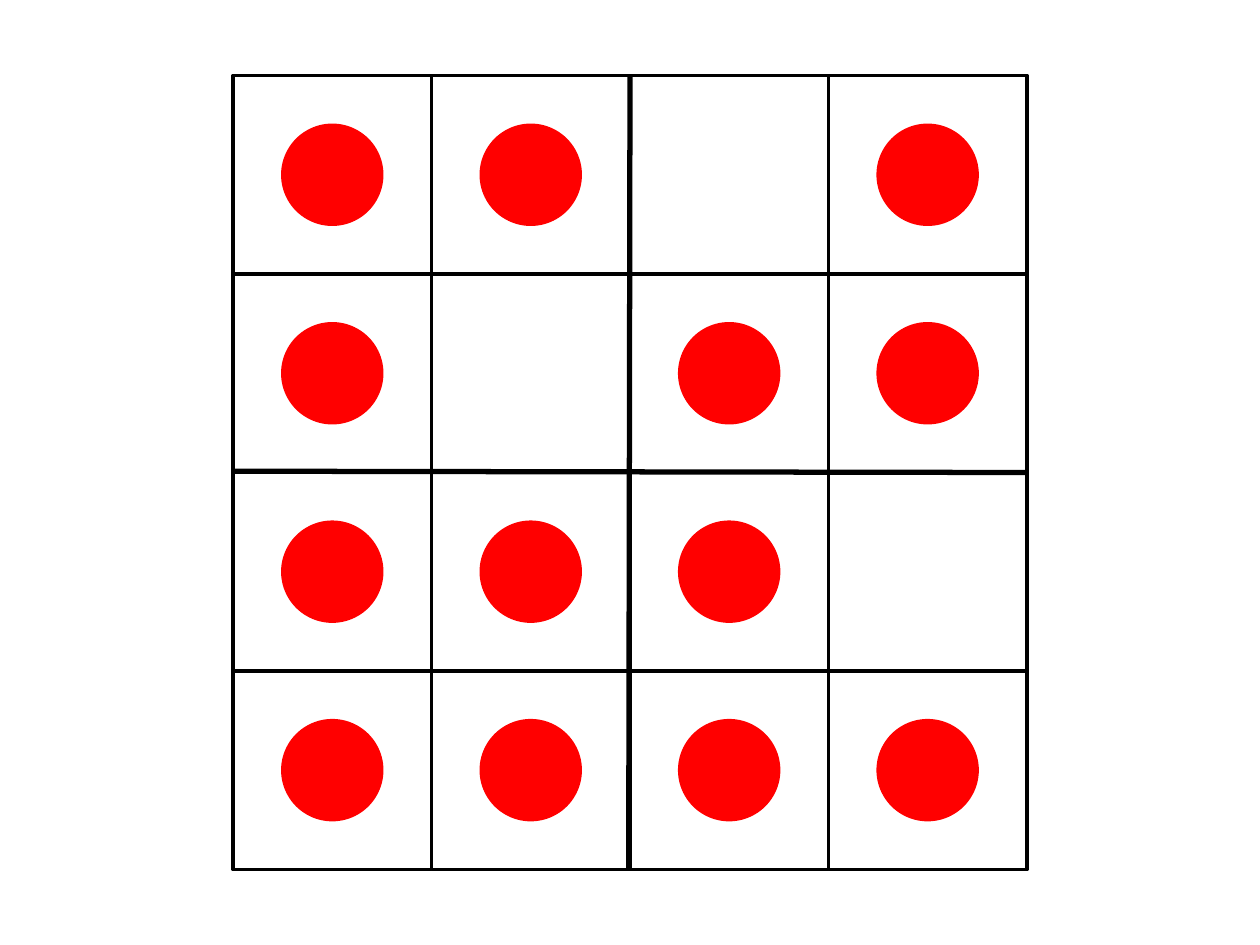
"""Build a four by four grid with red dots and heavy middle lines."""
from dataclasses import dataclass

from lxml.etree import SubElement
from pptx import Presentation
from pptx.dml.color import RGBColor
from pptx.enum.shapes import MSO_CONNECTOR as Connector, MSO_SHAPE as Shape
from pptx.oxml.ns import qn
from pptx.shapes.autoshape import Shape as AutoShape
from pptx.slide import Slide
from pptx.util import Emu, Pt

BLACK = RGBColor(0x00, 0x00, 0x00)
RED = RGBColor(0xFF, 0x00, 0x00)

EMU_PER_PX = 4572
SLIDE_WIDTH, SLIDE_HEIGHT = 2000, 1500
GRID_LEFT, GRID_TOP = 370, 120
CELL = 315
DOT = 157
DOT_INSET = (CELL - DOT) // 2
OUTLINE_WIDTH, DIVIDER_WIDTH = 2, 3

DOT_ROWS = (
    "●●○●",
    "●○●●",
    "●●●○",
    "●●●●",
)


@dataclass(frozen=True)
class Cell:
    row: int
    column: int
    has_dot: bool

    @property
    def left(self) -> int:
        return GRID_LEFT + self.column * CELL

    @property
    def top(self) -> int:
        return GRID_TOP + self.row * CELL


@dataclass(frozen=True)
class Divider:
    begin_x: int
    begin_y: int
    end_x: int
    end_y: int


CELLS = [
    Cell(row, column, mark == "●")
    for row, marks in enumerate(DOT_ROWS)
    for column, mark in enumerate(marks)
]
DIVIDERS = (
    Divider(1000, 120, 998, 1380),
    Divider(1630, 750, 370, 748),
)


def px(length: int) -> Emu:
    """Turn px into EMU."""
    return Emu(length * EMU_PER_PX)


def add_outlined(slide: Slide, kind: Shape, left: int, top: int, size: int,
                 color: RGBColor) -> AutoShape:
    """Add a square-sized shape with an outline and no shadow."""
    shape = slide.shapes.add_shape(kind, px(left), px(top), px(size), px(size))
    shape.shadow.inherit = False
    shape.line.color.rgb = color
    shape.line.width = Pt(OUTLINE_WIDTH)
    return shape


def draw_cell(slide: Slide, cell: Cell) -> None:
    """Draw the unfilled square of one cell."""
    square = add_outlined(slide, Shape.RECTANGLE, cell.left, cell.top, CELL, BLACK)
    square.fill.background()


def draw_dot(slide: Slide, cell: Cell) -> None:
    """Draw the red dot centred in one cell."""
    dot = add_outlined(slide, Shape.OVAL, cell.left + DOT_INSET,
                       cell.top + DOT_INSET, DOT, RED)
    dot.fill.solid()
    dot.fill.fore_color.rgb = RED


def draw_divider(slide: Slide, divider: Divider) -> None:
    """Draw one heavy line across the grid."""
    line = slide.shapes.add_connector(
        Connector.STRAIGHT, px(divider.begin_x), px(divider.begin_y),
        px(divider.end_x), px(divider.end_y))
    line.line.color.rgb = BLACK
    line.line.width = Pt(DIVIDER_WIDTH)
    SubElement(line._element.spPr, qn("a:effectLst"))


def main() -> None:
    """Build and save the presentation."""
    presentation = Presentation()
    presentation.slide_width = px(SLIDE_WIDTH)
    presentation.slide_height = px(SLIDE_HEIGHT)
    slide = presentation.slides.add_slide(presentation.slide_layouts[6])
    for cell in CELLS:
        draw_cell(slide, cell)
    for divider in DIVIDERS:
        draw_divider(slide, divider)
    for cell in CELLS:
        if cell.has_dot:
            draw_dot(slide, cell)
    presentation.save("out.pptx")


if __name__ == "__main__":
    main()
